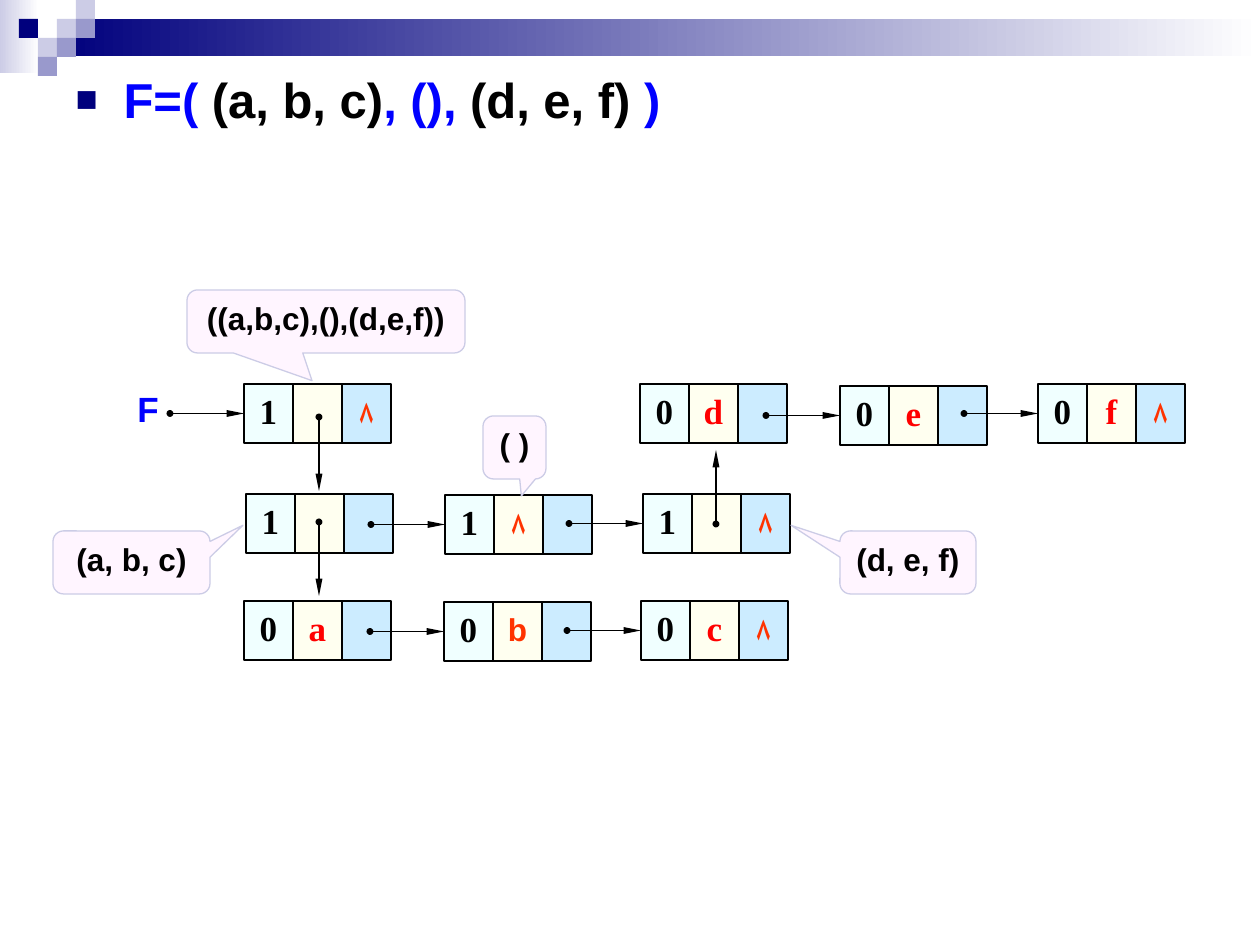
from lxml import etree
from pptx import Presentation
from pptx.dml.color import RGBColor
from pptx.enum.shapes import MSO_CONNECTOR, MSO_SHAPE as SHAPE
from pptx.enum.text import MSO_ANCHOR as ANCHOR, MSO_AUTO_SIZE as AUTOSIZE, PP_ALIGN as ALIGN
from pptx.oxml.ns import qn
from pptx.util import Emu, Pt

PX = 914400 / 126


def px(*lengths):
    return [Emu(round(length * PX)) for length in lengths]


def color(hex_string):
    return RGBColor.from_string(hex_string)


deck = Presentation()
deck.slide_width, deck.slide_height = px(1260, 945)
page = deck.slides.add_slide(deck.slide_layouts[1])
title = page.shapes.title
title.element.getparent().remove(title.element)

# Header: two gradient bands and a pattern of small squares
for bounds, start in [((0, 0, 39, 73), "CCCCE6"), ((57, 19, 1203, 37), "00007D")]:
    band = page.shapes.add_shape(SHAPE.RECTANGLE, *px(*bounds))
    band.shadow.inherit = False
    band.line.fill.background()
    band.fill.gradient()
    band.fill.gradient_angle = 0
    for stop, shade in zip(band.fill.gradient_stops, (start, "FFFFFF")):
        stop.color.rgb = color(shade)

for column, row, shade in [(3, 1, "CCCCE6"), (4, 0, "CCCCE6"), (4, 1, "9999CC"), (2, 2, "CCCCE6"),
                           (1, 1, "00007D"), (3, 2, "9999CC"), (2, 3, "9999CC")]:
    square = page.shapes.add_shape(SHAPE.RECTANGLE, *px(19 * column, 19 * row, 19, 19))
    square.shadow.inherit = False
    square.line.fill.background()
    square.fill.solid()
    square.fill.fore_color.rgb = color(shade)

# Formula in the body placeholder
body = page.placeholders[1]
body.left, body.top, body.width, body.height = px(63, 63, 1134, 882)
body.text_frame.auto_size = AUTOSIZE.NONE
para = body.text_frame.paragraphs[0]
para.space_before = Pt(0)
props = para._p.get_or_add_pPr()
indent = px(48)[0]
props.set("marL", str(indent))
props.set("indent", str(-indent))
bullet_color = etree.SubElement(props, qn("a:buClr"))
etree.SubElement(bullet_color, qn("a:srgbClr"), val="00007D")
etree.SubElement(props, qn("a:buSzPct"), val="75000")
etree.SubElement(props, qn("a:buFont"), typeface="Arial")
etree.SubElement(props, qn("a:buChar"), char="■")
for text, shade in [("F=( ", "0000FF"), ("(a, b, c)", "000000"), (", (), ", "0000FF"),
                    ("(d, e, f) ", "000000"), (")", "0000FF")]:
    span = para.add_run()
    span.text = text
    span.font.name, span.font.size, span.font.bold = "Arial", Pt(28), True
    span.font.color.rgb = color(shade)

# List nodes: left, top, tag, content, next
NIL = "۸"
nodes = [
    (244, 384, "1", "", NIL),
    (246, 494, "1", "", ""), (445, 495, "1", NIL, ""), (643, 494, "1", "", NIL),
    (640, 384, "0", "d", ""), (840, 386, "0", "e", ""), (1038, 384, "0", "f", NIL),
    (244, 601, "0", "a", ""), (444, 602, "0", "b", ""), (641, 601, "0", "c", NIL),
]
cell_fills = ["F0FFFF", "FFFFF0", "CCECFF"]
tags = []
for left, top, *texts in nodes:
    cells = []
    for index, text in enumerate(texts):
        cell = page.shapes.add_shape(SHAPE.RECTANGLE, *px(left + 49 * index, top, 49, 59))
        cell.shadow.inherit = False
        cell.fill.solid()
        cell.fill.fore_color.rgb = color(cell_fills[index])
        cell.line.color.rgb = color("000000")
        cell.line.width = Pt(0.75)
        cells.append(cell)
        if not text:
            continue
        frame = cell.text_frame
        frame.word_wrap = False
        frame.vertical_anchor = ANCHOR.MIDDLE
        frame.margin_top = px(1)[0]
        frame.text = text
        frame.paragraphs[0].alignment = ALIGN.CENTER
        font = frame.paragraphs[0].runs[0].font
        font.bold = True
        if text in (NIL, "b"):
            font.name, font.size, shade = "Arial", Pt(18), "FF3300"
        else:
            font.name, font.size = "Times New Roman", Pt(20)
            shade = "000000" if index == 0 else "FF0000"
        font.color.rgb = color(shade)
    tags.append(cells[0])

# Head pointer label
label = page.shapes.add_textbox(*px(125, 381, 47, 55))
label.text_frame.word_wrap = False
label.text_frame.auto_size = AUTOSIZE.SHAPE_TO_FIT_TEXT
label.text_frame.text = "F"
font = label.text_frame.paragraphs[0].runs[0].font
font.name, font.size, font.bold = "Arial", Pt(20), True
font.color.rgb = color("0000FF")

# Callouts naming the sublists
for bounds, tip, text in [
    ((187, 290, 278, 63), (-0.05, 0.94), "((a,b,c),(),(d,e,f))"),
    ((483, 416, 63, 63), (0.11, 0.77), "( )"),
    ((53, 531, 157, 63), (0.71, -0.59), "(a, b, c)"),
    ((840, 531, 136, 63), (-0.86, -0.59), "(d, e, f)"),
]:
    callout = page.shapes.add_shape(SHAPE.ROUNDED_RECTANGULAR_CALLOUT, *px(*bounds))
    callout.adjustments[0], callout.adjustments[1] = tip
    callout.shadow.inherit = False
    callout.fill.solid()
    callout.fill.fore_color.rgb = color("FFF5FF")
    callout.line.color.rgb = color("CCCCE6")
    callout.line.width = Pt(0.75)
    callout.text_frame.vertical_anchor = ANCHOR.TOP
    callout.text_frame.text = text
    para = callout.text_frame.paragraphs[0]
    para.alignment = ALIGN.CENTER
    para.font.name, para.font.size, para.font.bold = "Arial", Pt(18), True
    para.font.color.rgb = color("000000")

# Pointers: all the same length, level ones joined to the tag cell they reach
REACH = 74
pointers = [(319, 417, 319, 417 + REACH, None), (319, 522, 319, 522 + REACH, None),
            (716, 524, 716, 524 - REACH, None)]
for (left, top, *texts), tag in zip(nodes, tags):
    if (left, top) not in [(246, 494), (640, 384), (244, 601)]:
        middle = top + 29.5
        pointers.append((left - REACH, middle, left, middle, tag))
for *ends, target in pointers:
    arrow = page.shapes.add_connector(MSO_CONNECTOR.STRAIGHT, *px(*ends))
    if target is not None:
        arrow.end_connect(target, 1)
    arrow.line.color.rgb = color("000000")
    arrow.line.width = Pt(0.75)
    outline = arrow.line._get_or_add_ln()
    etree.SubElement(outline, qn("a:headEnd"), type="oval", w="sm", len="sm")
    etree.SubElement(outline, qn("a:tailEnd"), type="triangle", w="sm", len="lg")
    etree.SubElement(arrow._element.spPr, qn("a:effectLst"))

deck.save("out.pptx")
